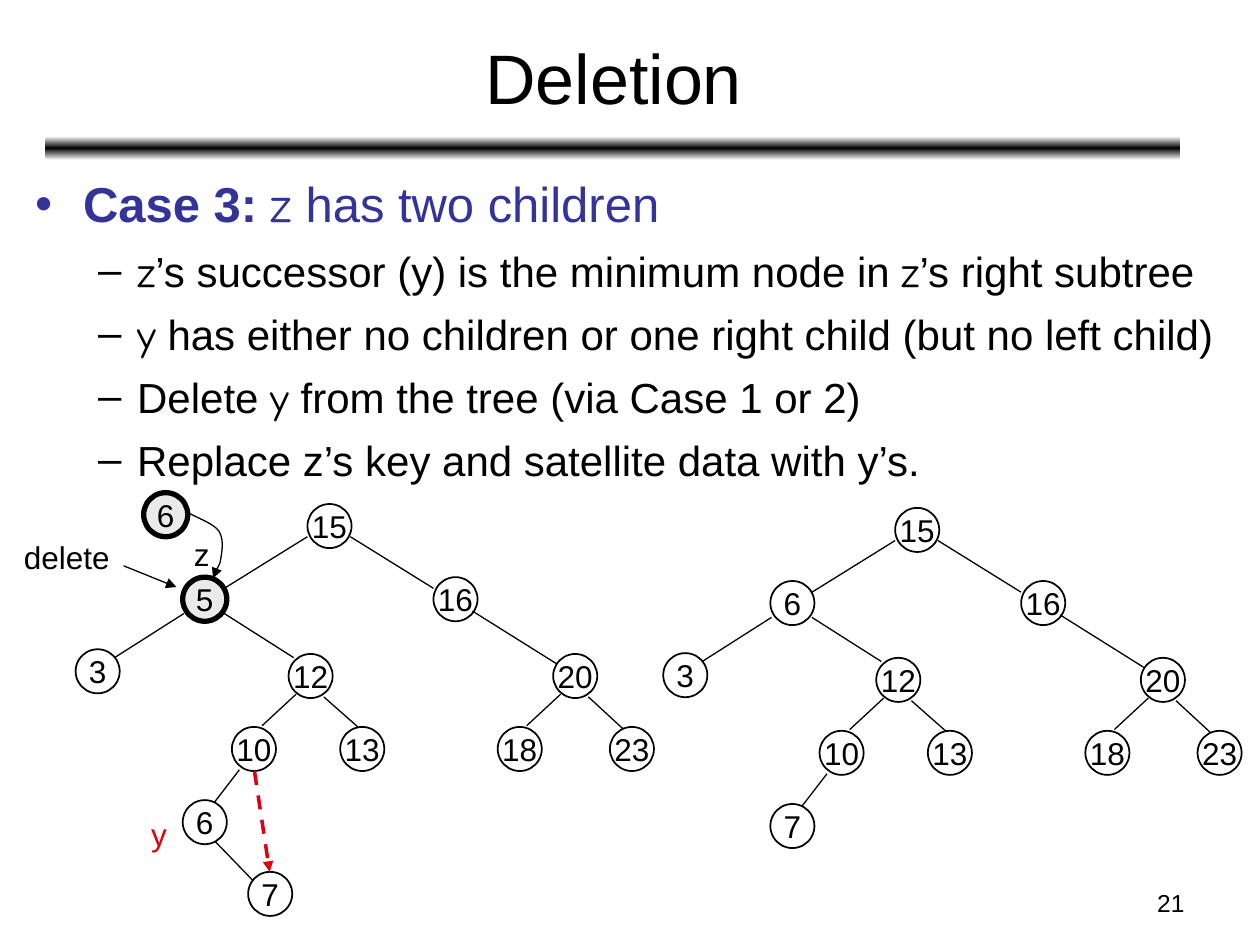
"""Build the slide on deleting a binary search tree node that has two children."""
from lxml.etree import SubElement
from pptx import Presentation
from pptx.dml.color import RGBColor
from pptx.enum.dml import MSO_LINE
from pptx.enum.shapes import MSO_CONNECTOR, MSO_SHAPE
from pptx.enum.text import MSO_ANCHOR, PP_ALIGN
from pptx.oxml.ns import qn
from pptx.util import Pt

COLORS = {"ink": "000000", "paper": "FFFFFF", "heading": "333399",
          "marked": "EAEAEA", "successor": "DD0111"}
SANS, HAND = "Arial", "Comic Neue"
NODE_SIZE = 25.2
RESULT_SHIFT = (335.8, 2.2)
NODES = {"15": (175.7, 288), "16": (247.7, 329.8), "20": (316.1, 373.7),
         "18": (284.4, 415.4), "23": (348.5, 415.4), "5": (104.4, 329.8),
         "12": (164.9, 373.7), "3": (43.2, 371), "10": (132.5, 415.4),
         "13": (194.4, 415.4), "6": (104.4, 457.2), "7": (141.8, 498.2)}
EDGES = {("15", "5"): (175.7, 306.7, 128.2, 336.2),
         ("15", "16"): (200.2, 306.7, 247.7, 336.2),
         ("16", "20"): (270, 349.2, 318.2, 379.4),
         ("20", "18"): (320.4, 396.7, 301, 414.7),
         ("20", "23"): (336.2, 398.2, 355.7, 416.2),
         ("5", "3"): (105.1, 350.6, 65.5, 375.8),
         ("5", "12"): (128.2, 350.6, 167.8, 375.8),
         ("12", "10"): (169.2, 396.7, 149.8, 414.7),
         ("12", "13"): (185, 398.2, 204.5, 415.4),
         ("10", "6"): (136.8, 439.9, 122.4, 458.6),
         ("6", "7"): (123.1, 481, 144.7, 503.3)}
RESULT_LABELS = {"5": "6", "6": "7"}
BULLETS = [
    (0, [("Case 3: ", SANS, True), ("z", HAND, False), (" has two children", SANS, False)]),
    (1, [("z", HAND, False), ("’s successor (y) is the minimum node in ", SANS, False),
         ("z", HAND, False), ("’s right subtree", SANS, False)]),
    (1, [("y", HAND, False),
         (" has either no children or one right child (but no left child)", SANS, False)]),
    (1, [("Delete ", SANS, False), ("y", HAND, False),
         (" from the tree (via Case 1 or 2)", SANS, False)]),
    (1, [("Replace z’s key and satellite data with y’s.", SANS, False)]),
]
LEVELS = [{"size": 28, "color": "heading", "mark": "•", "left": 27.4, "hang": 27.4, "before": 8},
          {"size": 24, "color": "ink", "mark": "–", "left": 58.3, "hang": 22.3, "before": 7.2}]
ARROW_CURVE = [((107.3, 293), (114.5, 296.6), (122.4, 299.5), (125.3, 303.8)),
               ((125.3, 303.8), (128.2, 308.9), (126.7, 316.1), (126, 320.4)),
               ((126, 320.4), (125.3, 324.7), (120.2, 329), (121.7, 330.5))]


def rgb(name):
    """Return the named colour."""
    return RGBColor.from_string(COLORS[name])


def write(para, text, size=18, color="ink", font=SANS, bold=False, align=None):
    """Add a formatted span to a paragraph."""
    span = para.add_run()
    span.text = text
    span.font.size = Pt(size)
    span.font.name = font
    span.font.bold = bold
    span.font.color.rgb = rgb(color)
    if align is not None:
        para.alignment = align


def add_label(page, text, left, top, width, height, **style):
    """Add a one-line text box."""
    box = page.shapes.add_textbox(Pt(left), Pt(top), Pt(width), Pt(height))
    box.text_frame.word_wrap = False
    write(box.text_frame.paragraphs[0], text, **style)


def add_title(page, text):
    """Place and fill the title placeholder."""
    title = page.shapes.title
    title.left, title.top, title.width, title.height = Pt(26.6), Pt(7.9), Pt(648), Pt(71.3)
    title.text_frame.vertical_anchor = MSO_ANCHOR.MIDDLE
    write(title.text_frame.paragraphs[0], text, size=40, align=PP_ALIGN.CENTER)


def add_rule(page):
    """Add the shaded bar below the title."""
    bar = page.shapes.add_shape(MSO_SHAPE.ROUNDED_RECTANGLE, Pt(25.9), Pt(77.8), Pt(648.7), Pt(13.7))
    bar.shadow.inherit = False
    bar.line.fill.background()
    bar.fill.gradient()
    bar.fill.gradient_angle = 90
    stops = next(bar.element.iter(qn("a:gsLst")))
    for stop in list(stops):
        stops.remove(stop)
    for position, name in ((0, "paper"), (50000, "ink"), (100000, "paper")):
        stop = SubElement(stops, qn("a:gs"), pos=str(position))
        SubElement(stop, qn("a:srgbClr"), val=COLORS[name])


def add_bullets(page):
    """Add the bulleted explanation."""
    box = page.shapes.add_textbox(Pt(13), Pt(95.8), Pt(692), Pt(180))
    frame = box.text_frame
    frame.word_wrap = True
    for index, (depth, spans) in enumerate(BULLETS):
        level = LEVELS[depth]
        para = frame.add_paragraph() if index else frame.paragraphs[0]
        para.level = depth
        para.space_before = Pt(level["before"])
        properties = para._p.get_or_add_pPr()
        properties.set("marL", str(Pt(level["left"])))
        properties.set("indent", str(-Pt(level["hang"])))
        tint = SubElement(properties, qn("a:buClr"))
        SubElement(tint, qn("a:srgbClr"), val=COLORS[level["color"]])
        SubElement(properties, qn("a:buFont"), typeface=SANS)
        SubElement(properties, qn("a:buChar"), char=level["mark"])
        for text, font, bold in spans:
            write(para, text, size=level["size"], color=level["color"], font=font, bold=bold)


def add_node(page, text, left, top, marked=False):
    """Add a tree node, heavier and grey when marked."""
    node = page.shapes.add_shape(MSO_SHAPE.OVAL, Pt(left), Pt(top), Pt(NODE_SIZE), Pt(NODE_SIZE))
    node.shadow.inherit = False
    node.fill.solid()
    node.fill.fore_color.rgb = rgb("marked" if marked else "paper")
    node.line.color.rgb = rgb("ink")
    node.line.width = Pt(3 if marked else 1)
    node.text_frame.word_wrap = False
    node.text_frame.vertical_anchor = MSO_ANCHOR.MIDDLE
    write(node.text_frame.paragraphs[0], text, align=PP_ALIGN.CENTER)


def add_arrowhead(line):
    """Put a triangle at the end of a line."""
    SubElement(line.get_or_add_ln(), qn("a:tailEnd"), type="triangle")


def add_line(page, start_x, start_y, end_x, end_y, color="ink", width=0.75, dashed=False, arrow=False):
    """Add a straight line, optionally dashed or with an arrowhead."""
    line = page.shapes.add_connector(MSO_CONNECTOR.STRAIGHT, Pt(start_x), Pt(start_y), Pt(end_x), Pt(end_y))
    line.line.color.rgb = rgb(color)
    line.line.width = Pt(width)
    if dashed:
        line.line.dash_style = MSO_LINE.DASH
    if arrow:
        add_arrowhead(line)
    SubElement(line.element.spPr, qn("a:effectLst"))


def bezier_point(curve, t):
    """Return the point at t on a cubic curve."""
    weights = ((1 - t) ** 3, 3 * t * (1 - t) ** 2, 3 * t ** 2 * (1 - t), t ** 3)
    return tuple(Pt(sum(w * point[axis] for w, point in zip(weights, curve))) for axis in (0, 1))


def add_curved_arrow(page, curves, steps=10):
    """Add an open curved arrow through joined cubic curves."""
    points = [bezier_point(curve, step / steps) for curve in curves for step in range(1, steps + 1)]
    builder = page.shapes.build_freeform(*bezier_point(curves[0], 0))
    builder.add_line_segments(points, close=False)
    arrow = builder.convert_to_shape()
    arrow.shadow.inherit = False
    arrow.fill.background()
    arrow.line.color.rgb = rgb("ink")
    arrow.line.width = Pt(0.75)
    add_arrowhead(arrow)


def add_tree(page, shift=(0, 0), labels=None, omitted=(), marked=()):
    """Add a tree with relabelled, omitted or marked nodes."""
    right, down = shift
    for key, (left, top) in NODES.items():
        if key not in omitted:
            add_node(page, (labels or {}).get(key, key), left + right, top + down, key in marked)
    for (parent, child), (x1, y1, x2, y2) in EDGES.items():
        if child not in omitted:
            add_line(page, x1 + right, y1 + down, x2 + right, y2 + down)


def main():
    """Build and save the deck."""
    deck = Presentation()
    deck.slide_width, deck.slide_height = Pt(720), Pt(540)
    page = deck.slides.add_slide(deck.slide_layouts[5])
    add_rule(page)
    add_title(page, "Deletion")
    add_bullets(page)
    add_tree(page, marked=("5",))
    add_tree(page, RESULT_SHIFT, RESULT_LABELS, omitted=("7",))
    add_label(page, "delete", 6.5, 303.8, 63.4, 28.8)
    add_label(page, "z", 103.7, 302.4, 23, 28.8)
    add_label(page, "y", 79.2, 462.2, 23, 28.8, color="successor")
    add_line(page, 70.6, 323.3, 100.8, 335.5, arrow=True)
    add_line(page, 145.4, 440.6, 154.1, 498.2, color="successor", width=2, dashed=True, arrow=True)
    add_node(page, "6", 82.1, 281.5, marked=True)
    add_curved_arrow(page, ARROW_CURVE)
    add_label(page, "21", 516.2, 504, 167.8, 25.2, size=14, align=PP_ALIGN.RIGHT)
    deck.save("out.pptx")


if __name__ == "__main__":
    main()
